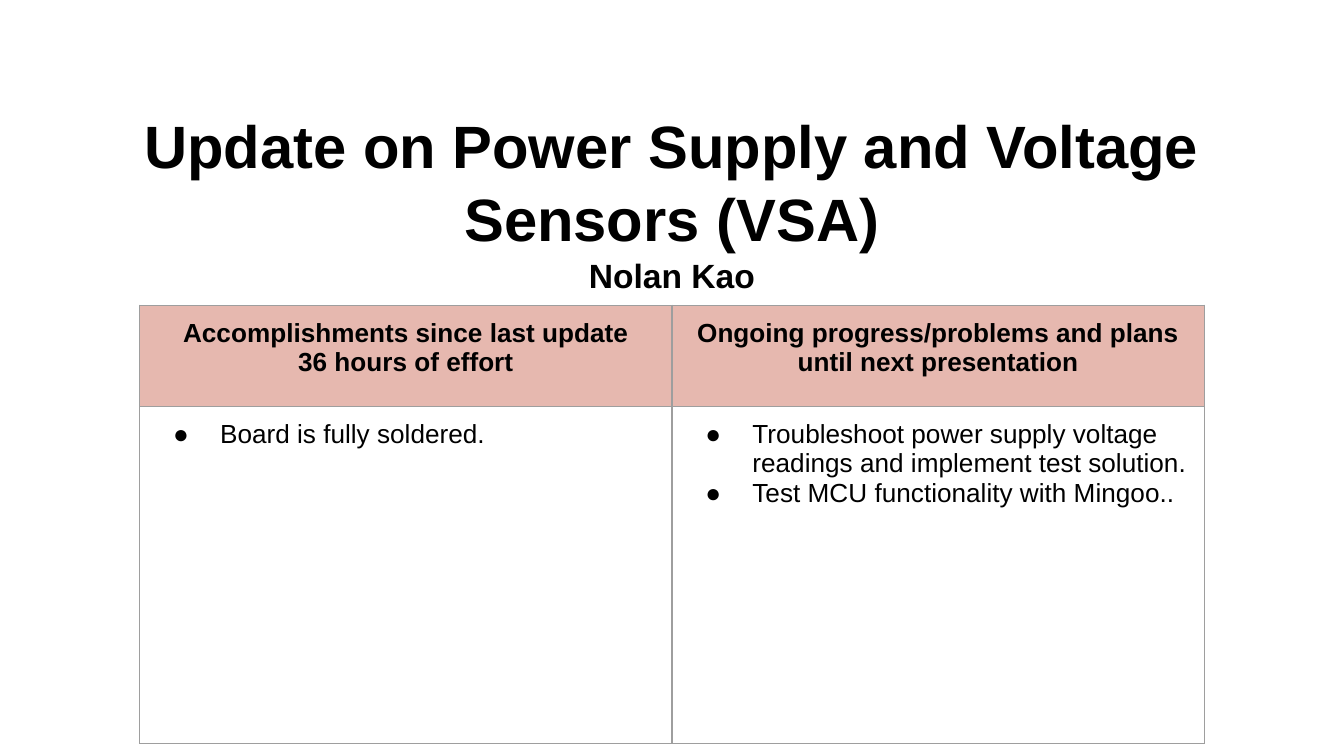
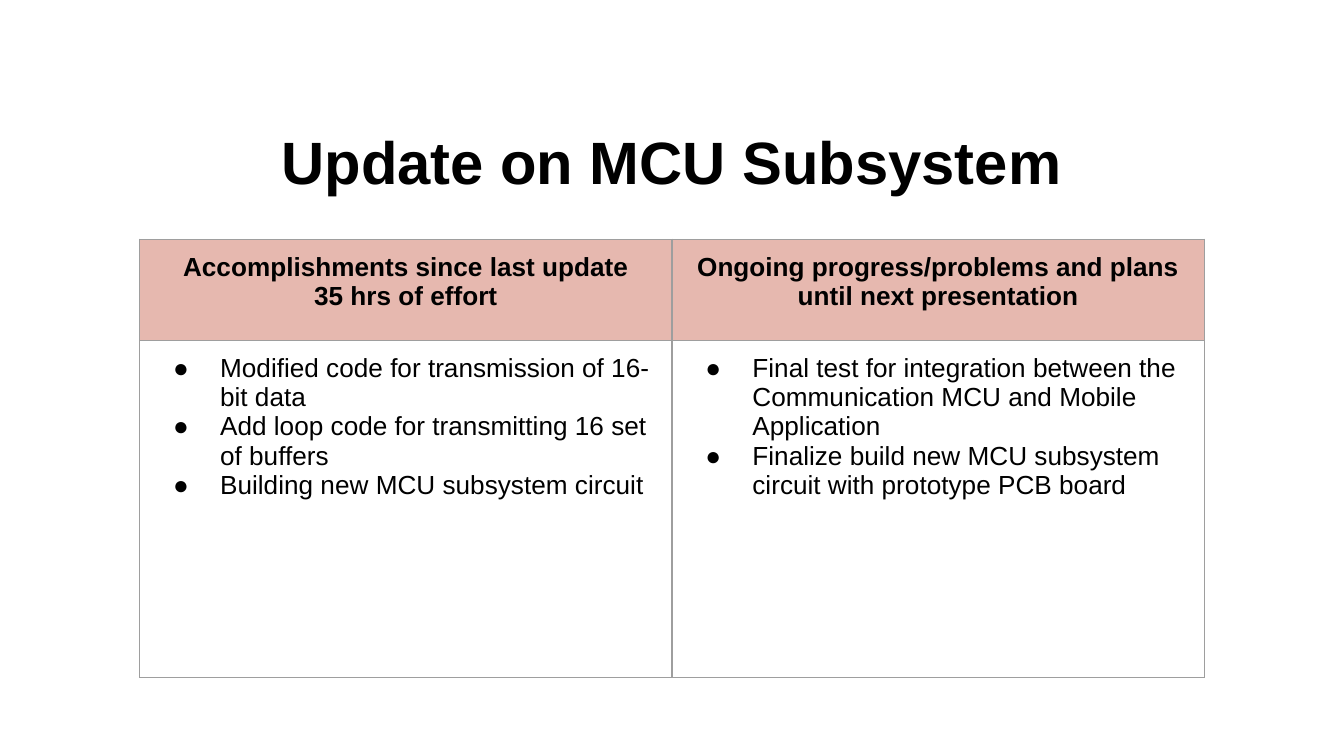
from lxml.etree import SubElement
from pptx import Presentation
from pptx.dml.color import RGBColor
from pptx.enum.text import MSO_ANCHOR, PP_ALIGN
from pptx.oxml.ns import qn
from pptx.util import Cm, Pt

FONT = "Arial"
BLACK = "000000"
HEADER_FILL = "E6B8AF"
BORDER = "9E9E9E"
INSET = Cm(0.25)
COLUMN_WIDTH = Cm(10.06)
ROW_HEIGHTS = (Cm(1.91), Cm(6.38))
PLANS_HEADING = "Ongoing progress/problems and plans until next presentation"


def color(hex_string):
    return RGBColor.from_string(hex_string)


def set_insets(holder):
    """Give a text frame or a table cell the same margin on every side."""
    holder.margin_left = holder.margin_right = INSET
    holder.margin_top = holder.margin_bottom = INSET


def style(paragraph, size, bold=False):
    paragraph.font.name = FONT
    paragraph.font.size = Pt(size)
    paragraph.font.bold = bold
    paragraph.font.color.rgb = color(BLACK)


def write_paragraphs(frame, lines):
    """Write one paragraph per line and return the paragraphs."""
    for _ in lines[1:]:
        frame.add_paragraph()
    for paragraph, line in zip(frame.paragraphs, lines):
        paragraph.text = line
    return frame.paragraphs


def add_bullet(paragraph):
    properties = paragraph._p.get_or_add_pPr()
    properties.set("marL", str(Cm(1.27)))
    properties.set("indent", str(Cm(-0.89)))
    bullet_color = SubElement(properties, qn("a:buClr"))
    SubElement(bullet_color, qn("a:srgbClr"), val=BLACK)
    SubElement(properties, qn("a:buFont"), typeface=FONT)
    SubElement(properties, qn("a:buChar"), char="●")


def add_borders(cell):
    properties = cell._tc.get_or_add_tcPr()
    for side in ("lnL", "lnR", "lnT", "lnB"):
        line = SubElement(properties, qn(f"a:{side}"), w=str(Pt(0.75)))
        fill = SubElement(line, qn("a:solidFill"))
        SubElement(fill, qn("a:srgbClr"), val=BORDER)


def add_title(page, top, height, lines):
    """Add a centred title; lines after the first are smaller."""
    box = page.shapes.add_textbox(Cm(1.27), top, Cm(22.86), height)
    frame = box.text_frame
    frame.word_wrap = True
    frame.vertical_anchor = MSO_ANCHOR.MIDDLE
    set_insets(frame)
    for index, paragraph in enumerate(write_paragraphs(frame, lines)):
        paragraph.alignment = PP_ALIGN.CENTER
        paragraph.line_spacing = 1.035
        style(paragraph, 18 if index else 32, bold=True)


def fill_header(cell, lines):
    cell.fill.solid()
    cell.fill.fore_color.rgb = color(HEADER_FILL)
    for paragraph in write_paragraphs(cell.text_frame, lines):
        paragraph.alignment = PP_ALIGN.CENTER
        style(paragraph, 14, bold=True)


def fill_body(cell, items):
    cell.fill.background()
    for paragraph in write_paragraphs(cell.text_frame, items):
        add_bullet(paragraph)
        style(paragraph, 14)


def add_update_table(page, top, effort, accomplishments, plans):
    frame = page.shapes.add_table(
        2, 2, Cm(2.64), top, 2 * COLUMN_WIDTH, sum(ROW_HEIGHTS))
    table = frame.table
    table.first_row = table.horz_banding = False
    for column in table.columns:
        column.width = COLUMN_WIDTH
    for row, height in zip(table.rows, ROW_HEIGHTS):
        row.height = height
    for cell in table.iter_cells():
        set_insets(cell)
        add_borders(cell)
    fill_header(table.cell(0, 0), ["Accomplishments since last update", effort])
    fill_header(table.cell(0, 1), [PLANS_HEADING])
    fill_body(table.cell(1, 0), accomplishments)
    fill_body(table.cell(1, 1), plans)


def main():
    deck = Presentation()
    deck.slide_width, deck.slide_height = Cm(25.4), Cm(14.29)
    blank = deck.slide_layouts[6]

    power_page = deck.slides.add_slide(blank)
    add_title(power_page, Cm(2.26), Cm(3.07),
              ["Update on Power Supply and Voltage Sensors (VSA)", "Nolan Kao"])
    add_update_table(
        power_page, Cm(5.77), "36 hours of effort",
        ["Board is fully soldered."],
        ["Troubleshoot power supply voltage readings and implement test solution.",
         "Test MCU functionality with Mingoo.."])

    mcu_page = deck.slides.add_slide(blank)
    add_title(mcu_page, Cm(2.18), Cm(1.68), ["Update on MCU Subsystem"])
    add_update_table(
        mcu_page, Cm(4.52), "35 hrs of effort",
        ["Modified code for transmission of 16-bit data",
         "Add loop code for transmitting 16 set of buffers",
         "Building new MCU subsystem circuit"],
        ["Final test for integration between the Communication MCU and Mobile Application",
         "Finalize build new MCU subsystem circuit with prototype PCB board"])

    deck.save("out.pptx")


if __name__ == "__main__":
    main()
